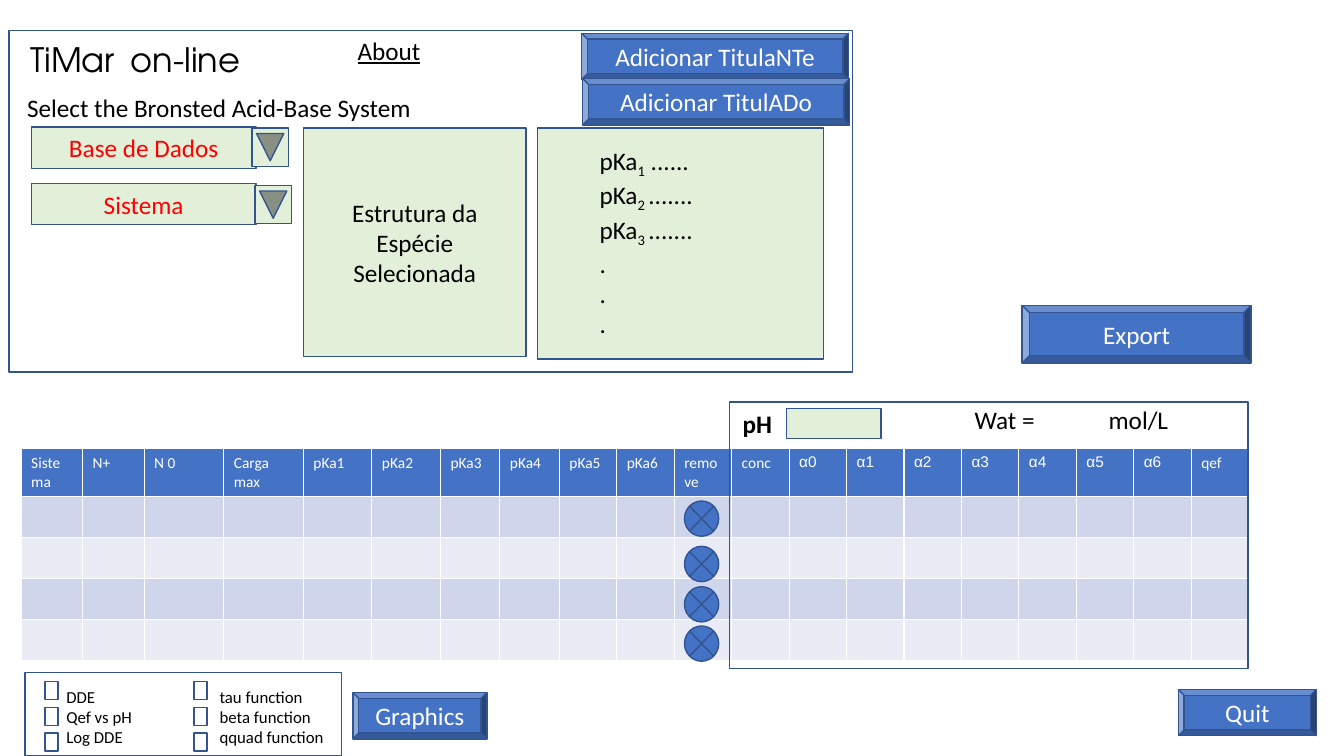
from lxml.etree import SubElement
from pptx import Presentation
from pptx.dml.color import RGBColor
from pptx.enum.shapes import MSO_SHAPE as Preset
from pptx.enum.text import MSO_ANCHOR as Anchor, PP_ALIGN as Align
from pptx.oxml.ns import qn
from pptx.util import Inches, Pt

COLUMNS, ROWS = 133.33, 75  # grid of the slide
COLORS = {
    "blue": "4472C4", "edge": "325491", "green": "E2F0D9", "white": "FFFFFF",
    "black": "000000", "red": "FF0000", "band": "CFD5EA", "pale": "E9EBF5",
}


class Board:
    """Holds the style and the current slide; lengths are grid columns and rows."""

    def __init__(self, deck, font="Calibri", size=18):
        self.slide = deck.slides.add_slide(deck.slide_layouts[6])
        self.shapes = self.slide.shapes
        self.column = deck.slide_width / COLUMNS
        self.row = deck.slide_height / ROWS
        self.font, self.size = font, size

    def place(self, left, top, width, height):
        """Turn grid lengths into slide lengths."""
        return (round(left * self.column), round(top * self.row),
                round(width * self.column), round(height * self.row))

    def style(self, paragraph, color="black", size=None, font=None, bold=False):
        """Set the font of a whole paragraph."""
        face = paragraph.font
        face.name, face.size = font or self.font, Pt(size or self.size)
        face.bold, face.color.rgb = bold, RGBColor.from_string(COLORS[color])

    def shape(self, at, preset=Preset.RECTANGLE, fill=None, text="", color="black"):
        """Add an outlined preset shape, with centred text if given."""
        item = self.shapes.add_shape(preset, *self.place(*at))
        item.shadow.inherit = False
        if fill:
            item.fill.solid()
            item.fill.fore_color.rgb = RGBColor.from_string(COLORS[fill])
        else:
            item.fill.background()
        item.line.color.rgb = RGBColor.from_string(COLORS["edge"])
        item.line.width = Pt(1)
        if text:
            frame = item.text_frame
            frame.text, frame.word_wrap = text, True
            frame.vertical_anchor = Anchor.MIDDLE
            frame.paragraphs[0].alignment = Align.CENTER
            self.style(frame.paragraphs[0], color)
        return item

    def button(self, at, text):
        """Add a bevelled blue button."""
        return self.shape(at, Preset.BEVEL, "blue", text, "white")

    def dropdown(self, at, text, arrow_left, arrow_top):
        """Add a selection field with its downward arrow button."""
        self.shape(at, fill="green", text=text, color="red")
        arrow = self.shape((arrow_left, arrow_top, 3.8, 3.6),
                           Preset.ACTION_BUTTON_FORWARD_OR_NEXT, "green")
        arrow.rotation = 90

    def text(self, at, lines, tab=None, **style):
        """Add a text box; a line may be a tuple (base, subscript, rest)."""
        frame = self.shapes.add_textbox(*self.place(*at)).text_frame
        frame.word_wrap = True
        for index, line in enumerate(lines):
            paragraph = frame.add_paragraph() if index else frame.paragraphs[0]
            parts = (line,) if isinstance(line, str) else line
            for order, part in enumerate(parts):
                run = paragraph.add_run()
                run.text = part
                if order == 1:
                    run.font._element.set("baseline", "-25000")
            self.style(paragraph, **style)
            if tab:
                properties = paragraph._p.get_or_add_pPr()
                stops = SubElement(properties, qn("a:tabLst"))
                properties.insert(0, stops)
                SubElement(stops, qn("a:tab"), pos=str(round(tab * self.column)), algn="l")
        return frame

    def table(self, left, top, headers, widths, heights):
        """Add a table with a blue header over empty banded rows."""
        at = self.place(left, top, sum(widths), sum(heights))
        grid = self.shapes.add_table(len(heights), len(headers), *at).table
        for column, width in zip(grid.columns, widths):
            column.width = round(width * self.column)
        for index, (row, height) in enumerate(zip(grid.rows, heights)):
            row.height = round(height * self.row)
            fill = ("pale", "band")[index % 2] if index else "blue"
            for cell, header in zip(row.cells, headers):
                cell.fill.solid()
                cell.fill.fore_color.rgb = RGBColor.from_string(COLORS[fill])
                if index == 0:
                    cell.text = header
                    self.style(cell.text_frame.paragraphs[0], "white", 11,
                               "Arial" if header.startswith("α") else None)


deck = Presentation()
deck.slide_width, deck.slide_height = Inches(13.33), Inches(7.5)
board = Board(deck)

# Species table
headers = ["Sistema", "N+", "N 0", "Carga max", *(f"pKa{n}" for n in range(1, 7)),
           "remove", "conc", *(f"α{n}" for n in range(7)), "qef"]
widths = [6.1] * 2 + [7.9] * 2 + [6.8] * 2 + [5.9] * 2 + [5.7] * 12
board.table(2.1, 44.5, headers, widths, [4.7] + [4.05] * 4)
board.button((101.4, 30.3, 22.7, 5.7), "Export")

# Graph options
board.shape((2.5, 66.7, 31.4, 8.3), fill="white")
for left in (4.45, 19.25):
    for top in (67.6, 70.2, 72.7):
        board.shape((left, top, 1.3, 1.8))
board.text((5.6, 67.6, 30, 7.1),
           ["DDE\ttau function", "Qef vs pH\tbeta function", "Log DDE\tqquad function"],
           tab=15.2, size=12)
board.button((35, 68.7, 13.3, 4.6), "Graphics")

# System selection
board.shape((0.9, 3, 83.7, 33.9))
board.text((2, 3.4, 24.7, 5), ["TiMar\ton-line"], tab=10, size=24, font="TeX Gyre Adventor")
board.text((1.7, 8.7, 42, 4), ["Select the Bronsted Acid-Base System"])
about = board.text((34.5, 3, 9.5, 4), ["About"])
about.paragraphs[0].font.underline = True
board.dropdown((3.1, 12.6, 22.3, 4.1), "Base de Dados", 24.9, 12.8)
board.dropdown((3.1, 18.2, 22.3, 4.1), "Sistema", 25.2, 18.5)
board.button((57.7, 3.3, 26.5, 4.6), "Adicionar TitulaNTe")
board.button((57.8, 7.8, 26.5, 4.6), "Adicionar TitulADo")
board.shape((30.1, 12.7, 22.1, 22.7), fill="green", text="Estrutura da Espécie Selecionada")
board.shape((53.3, 12.7, 28.4, 22.9), fill="green")
board.text((58.5, 13.9, 12.5, 19.2),
           [("pKa", "1", " ......"), ("pKa", "2 ", "......."), ("pKa", "3 ", "......."),
            ".", ".", "."])

# Results at the chosen pH
board.shape((72.4, 39.9, 51.4, 26.4))
board.shape((78, 40.5, 9.4, 3), fill="green")
board.text((72.7, 40, 6, 4), ["pH"], bold=True)
board.text((95.7, 39.6, 24.4, 4), ["Wat =\tmol/L"], tab=13.3)
for top in (49.7, 54.2, 58.2, 62.1):
    board.shape((67.9, top, 3.4, 3.5), Preset.FLOWCHART_SUMMING_JUNCTION, "blue")
board.button((116.9, 68.4, 13.7, 4.6), "Quit")

deck.save("out.pptx")
